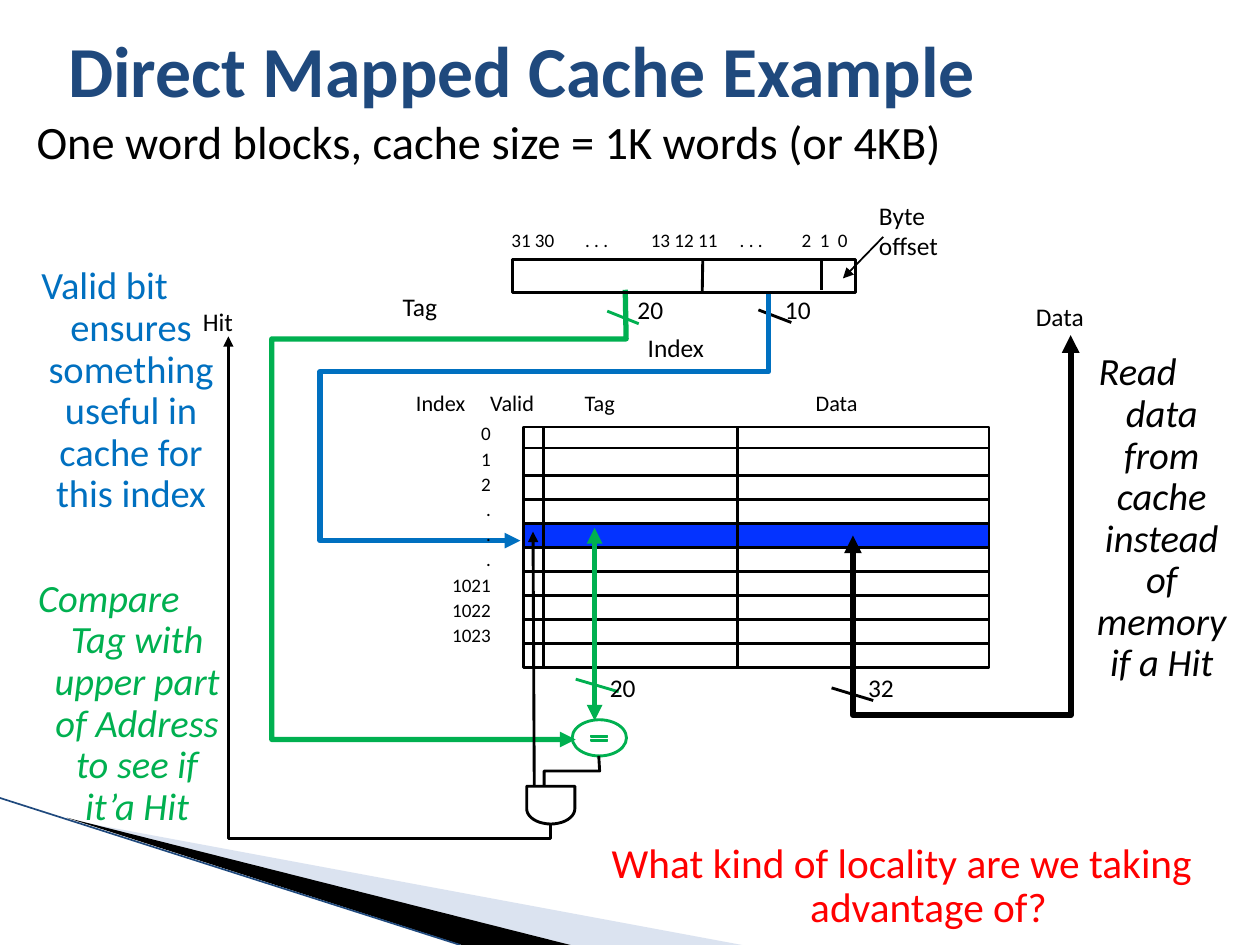
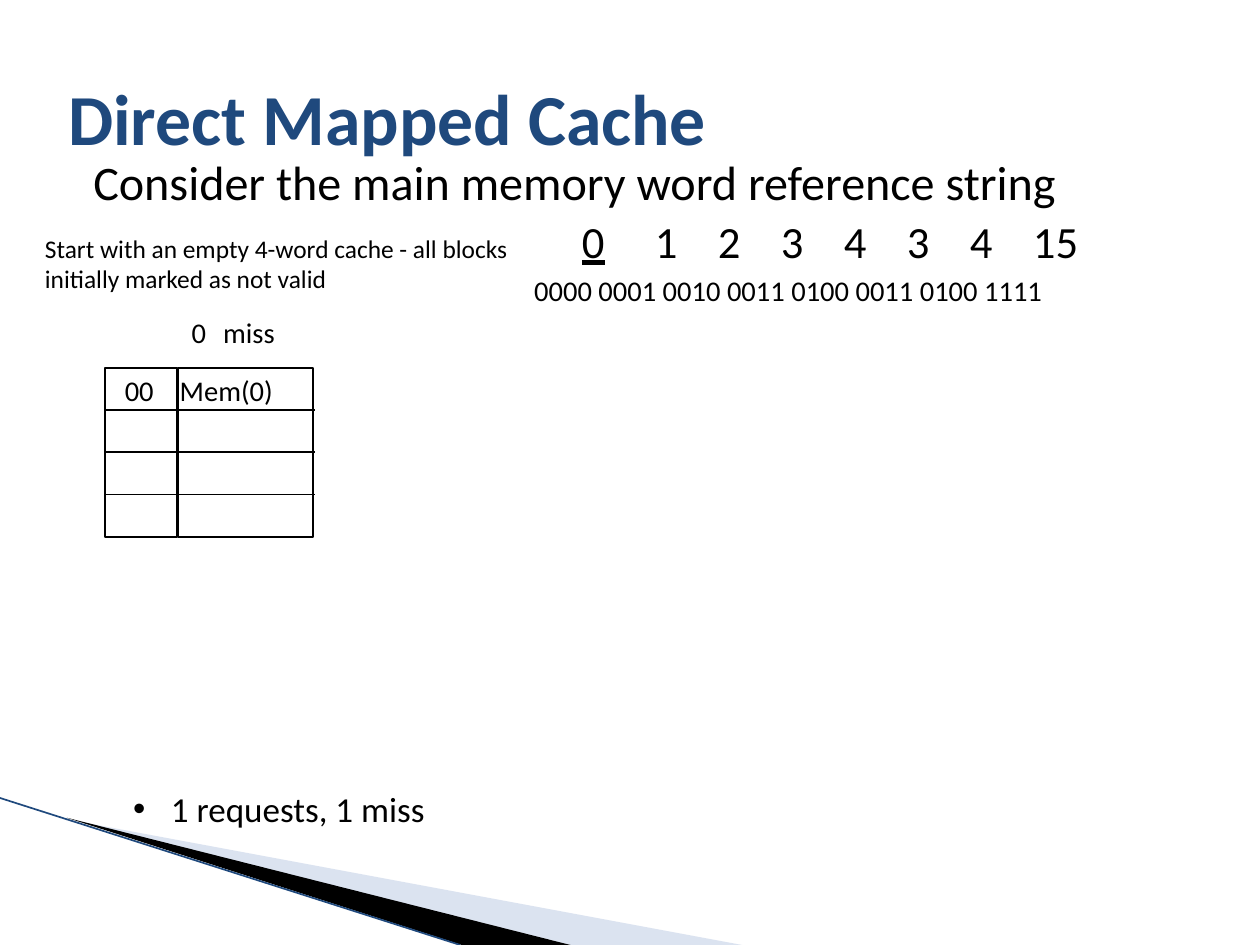
import math

import pptx
import pptx.dml.color
import pptx.enum.shapes
import pptx.enum.text
import pptx.oxml.xmlchemy
import pptx.util

Pt = pptx.util.Pt
RGBColor = pptx.dml.color.RGBColor
MSO_SHAPE = pptx.enum.shapes.MSO_SHAPE
PP_ALIGN = pptx.enum.text.PP_ALIGN
OxmlElement = pptx.oxml.xmlchemy.OxmlElement

FONT = "Calibri"
INSET = 2.88
THIN, THICK = 1.63, 3
BLACK = RGBColor(0x00, 0x00, 0x00)
NAVY = RGBColor(0x1F, 0x49, 0x7D)
GREEN = RGBColor(0x00, 0xB0, 0x50)
BLUE = RGBColor(0x00, 0x70, 0xC0)
RED = RGBColor(0xFF, 0x00, 0x00)
ROW_BLUE = RGBColor(0x04, 0x33, 0xFF)
BAND_LIGHT = RGBColor(0xA7, 0xB9, 0xDB)


def add_child(parent, tag, **attrs):
    child = OxmlElement(tag)
    for name, value in attrs.items():
        child.set(name, str(value))
    parent.append(child)
    return child


# Text

def box(s, x, y, w, h, wrap=True, grow=True, inset=INSET):
    sp = s.shapes.add_textbox(Pt(x), Pt(y), Pt(w), Pt(h))
    tf = sp.text_frame
    tf.word_wrap = wrap
    sizes = pptx.enum.text.MSO_AUTO_SIZE
    tf.auto_size = sizes.SHAPE_TO_FIT_TEXT if grow else sizes.NONE
    tf.margin_left = tf.margin_right = Pt(inset)
    tf.margin_top = tf.margin_bottom = Pt(inset)
    return tf


def run(p, text, size, color=BLACK, bold=False, italic=False, underline=False):
    r = p.add_run()
    r.text = text
    f = r.font
    f.name, f.size, f.bold, f.italic = FONT, Pt(size), bold, italic
    f.underline = underline
    f.color.rgb = color


def para(tf, text, size, align=None, spacing=None, before=None,
         left=0, hang=0, bullet=None, **style):
    p = tf.paragraphs[0]
    if p.runs:
        p = tf.add_paragraph()
    p.alignment = align
    p.line_spacing = spacing
    if before:
        p.space_before = Pt(before)
    pPr = p._p.get_or_add_pPr()
    pPr.set("marL", str(Pt(left)))
    pPr.set("indent", str(-Pt(hang)))
    if bullet:
        add_child(pPr, "a:buFont", typeface="Arial")
        add_child(pPr, "a:buChar", char=bullet)
    for i, part in enumerate(text.split("\n")):
        if i:
            p.add_line_break()
        run(p, part, size, **style)


def label(s, x, y, w, text, size=14.5, **style):
    height = size * 1.22 + 2 * INSET
    para(box(s, x, y, w + 4, height, wrap=False), text, size, **style)


def callout(s, x, y, w, h, text, size, hang, before, **style):
    para(box(s, x, y, w, h), text, size, align=PP_ALIGN.CENTER, spacing=0.9,
         before=before, left=hang, hang=hang, **style)


def title(s, y, text):
    tf = box(s, 36, y, 648, 90, grow=False)
    tf.vertical_anchor = pptx.enum.text.MSO_ANCHOR.MIDDLE
    para(tf, text, 41, color=NAVY, bold=True)


# Shapes and lines

def paint(sp, fill=None, color=None, width=THIN, head=False, tail=False):
    sp.shadow.inherit = False
    if fill is None:
        sp.fill.background()
    else:
        sp.fill.solid()
        sp.fill.fore_color.rgb = fill
    if color is None:
        sp.line.fill.background()
    else:
        stroke(sp, color, width, head, tail)
    return sp


def stroke(sp, color, width, head, tail):
    sp.line.color.rgb = color
    sp.line.width = Pt(width)
    ln = sp.line._get_or_add_ln()
    if head:
        add_child(ln, "a:headEnd", type="triangle")
    if tail:
        add_child(ln, "a:tailEnd", type="triangle")


def preset(s, kind, x, y, w, h, **look):
    return paint(s.shapes.add_shape(kind, Pt(x), Pt(y), Pt(w), Pt(h)), **look)


def line(s, x1, y1, x2, y2, color=BLACK, width=THIN, head=False, tail=False):
    c = s.shapes.add_connector(pptx.enum.shapes.MSO_CONNECTOR.STRAIGHT,
                               Pt(x1), Pt(y1), Pt(x2), Pt(y2))
    stroke(c, color, width, head, tail)
    add_child(c._element.spPr, "a:effectLst")
    return c


def outline(s, *contours, close=False, **look):
    start, *rest = [[(Pt(x), Pt(y)) for x, y in points] for points in contours]
    fb = s.shapes.build_freeform(*start[0])
    fb.add_line_segments(start[1:], close=close)
    for points in rest:
        fb.move_to(*points[0])
        fb.add_line_segments(points[1:], close=close)
    return paint(fb.convert_to_shape(), **look)


def corner_bands(s):
    light = outline(s, [(39.6, 468.5), (424, 540), (326, 540)], close=True, fill=BAND_LIGHT)
    color = light.fill._xPr.solidFill[0]
    add_child(color, "a:alpha", val=40000)
    outline(s, [(38.2, 467.3), (326, 540), (264, 540)], close=True, fill=BLACK)
    line(s, 0, 456, 263, 540, NAVY, 0.95)


# Slide 1

def address_word(s):
    preset(s, MSO_SHAPE.RECTANGLE, 293, 148.3, 195.8, 18.7, color=BLACK)
    line(s, 401.3, 167, 401.6, 148.3)
    line(s, 469.4, 165.6, 469.4, 147.6)
    for x, w, bits in ((289.3, 31, "31 30"), (331.4, 20, ". . ."), (369, 45, "13 12 11"),
                       (419.8, 20, ". . ."), (455.2, 11.3, "2"), (465.6, 11.3, "1"),
                       (475.9, 11.3, "0")):
        label(s, x, 127.9, w, bits, 10.9)
    para(box(s, 499.4, 111.3, 67, 41), "Byte offset", 14.5)
    line(s, 504.7, 135.4, 481.7, 159.1, width=1, tail=True)


def cache_array(s):
    left, right, top, height = 299.2, 565.2, 244, 137.5
    first, step = 271.5, 13.75
    table = preset(s, MSO_SHAPE.RECTANGLE, left, top, right - left, height, color=BLACK)
    preset(s, MSO_SHAPE.RECTANGLE, left, first + 2 * step, right - left, step,
           fill=ROW_BLUE, color=BLACK)
    for y in [256] + [first + i * step for i in range(8) if i != 2]:
        row = line(s, right, y, left, y)
        if y == top + height / 2:
            row.begin_connect(table, 3)
            row.end_connect(table, 1)
    for x in (310.7, 421.2):
        line(s, x, top, x, top + height)

    for x, w, text in ((234.8, 34, "Index"), (277.2, 31, "Valid"),
                       (331.2, 23, "Tag"), (463.2, 29.5, "Data")):
        label(s, x, 219.4, w, text, 12.7)
    tf = box(s, 252, 236.9, 31.4, 136)
    for text in ("0", "1", "2", ".", ".", ".", "1021", "1022", "1023"):
        para(tf, text, 10.9, align=PP_ALIGN.RIGHT, spacing=1.1)


def tag_path(s):
    preset(s, MSO_SHAPE.OVAL, 327, 411.3, 31, 20.7, color=GREEN)
    bars = [[(337.7, y), (347, y), (347, y + 0.8), (337.7, y + 0.8)] for y in (420.4, 422.6)]
    outline(s, *bars, close=True, fill=BLACK, color=GREEN, width=0.75)
    label(s, 361.4, 165.4, 20.2, "20")
    line(s, 347, 177.8, 365, 185, GREEN)
    outline(s, [(357.3, 165.6), (357.8, 193.7), (155.3, 193.7), (155.3, 422.6), (329, 422.6)],
            color=GREEN, width=THICK, tail=True)
    label(s, 227.2, 163.2, 25.2, "Tag")


def index_path(s):
    line(s, 433.4, 177.1, 452.2, 184.3)
    outline(s, [(439.2, 166.3), (439.2, 212.4), (182.9, 212.4), (182.9, 308.9), (297.4, 308.9)],
            color=BLUE, width=THICK, tail=True)
    label(s, 445.7, 165.4, 20.2, "10")
    label(s, 367.2, 186.9, 38.2, "Index")


def compare_and_read(s):
    line(s, 329, 388.1, 353.5, 395.3, GREEN)
    line(s, 339.8, 301.7, 339.8, 411.8, GREEN, THICK, head=True, tail=True)
    label(s, 345.6, 381.4, 20.2, "20")
    outline(s, [(487.4, 306), (487.4, 408.7), (611.8, 408.7), (611.8, 191.5)],
            color=BLACK, width=3.38, head=True, tail=True)
    line(s, 475.2, 393.1, 499, 400.3)
    label(s, 589, 169, 33, "Data")
    label(s, 493.2, 380.9, 20.2, "32")


def hit_logic(s):
    # AND gate: flat top, half-ellipse below
    left, right, top, shoulder, depth = 301, 328.5, 449.3, 462.2, 8.7
    mid, radius = (left + right) / 2, (right - left) / 2
    bowl = [(mid + radius * math.cos(a), shoulder + depth * math.sin(a))
            for a in (math.pi * i / 20 for i in range(21))]
    outline(s, [(left, top), (right, top)] + bowl, close=True, color=BLACK)
    line(s, 304.6, 303.8, 305.3, top, head=True)
    outline(s, [(342.2, 432), (342.7, 440.6), (311, 440.6), (311, top)], color=BLACK)
    outline(s, [(mid, 470.9), (mid, 479.2), (130.5, 479.2), (130.5, 192.2)],
            color=BLACK, tail=True)
    label(s, 113, 171.8, 23, "Hit")


def example_slide(s):
    corner_bands(s)
    para(box(s, 18, 72, 698.4, 48.2, grow=False),
         "One word blocks, cache size = 1K words (or 4KB)", 26.5, spacing=0.64, before=6.3)
    title(s, -5.8, "Direct Mapped Cache Example")
    tag_path(s)
    index_path(s)
    cache_array(s)
    address_word(s)
    compare_and_read(s)
    hit_logic(s)
    callout(s, 314.6, 478.5, 401.8, 56.9, "What kind of locality are we taking advantage of?",
            23.6, 30.2, 20, color=RED)
    callout(s, -9.7, 149.5, 139, 149.8,
            "Valid bit ensures something useful in cache for this index",
            22, 30.2, 20, color=BLUE)
    callout(s, 0.5, 328, 128.2, 149.8,
            "Compare \nTag with upper part of Address to see if it’a Hit",
            22, 27.4, 18.1, color=GREEN, italic=True)
    callout(s, 591.1, 198.7, 118, 197.3,
            "Read\ndata from cache instead of memory if a Hit",
            22, 27.4, 18.1, italic=True)


# Slide 2

def block_column(s, x, w, line_w):
    top, height, rows = 210.25, 96.5, 4
    column = preset(s, MSO_SHAPE.RECTANGLE, x, top, w, height, color=BLACK, width=1)
    for i in range(1, rows):
        y = top + i * height / rows
        c = line(s, x, y, x + line_w, y, width=1)
        if 2 * i == rows:
            c.begin_connect(column, 1)
            if line_w == w:
                c.end_connect(column, 3)


def reference_string(s):
    first, second, gap = 329.7, 371.4, 36
    for i, word in enumerate(("0", "1", "2", "3", "4", "3", "4", "15")):
        x = second + (i - 1) * gap if i else first
        label(s, x, 119.1, 18.8 * len(word), word, 25.5, underline=i == 0)


def reference_slide(s):
    corner_bands(s)
    title(s, 21.6, "Direct Mapped Cache")
    block_column(s, 101.6, 77.2, 78.5)
    block_column(s, 60, 41, 41)
    label(s, 106.6, 177.1, 13.7, "0", 16.3)
    label(s, 124.6, 177.1, 35.3, "miss", 16.3)
    label(s, 68.4, 210, 22.5, "00", 16.3)
    label(s, 99.8, 210, 59, "Mem(0)", 16.3)
    para(box(s, 41.8, 90.7, 673.2, 64.1, grow=False),
         "Consider the main memory word reference string", 27.5,
         spacing=0.8, before=7.3, left=8.6)
    reference_string(s)
    para(box(s, 22.8, 130.3, 270.7, 41),
         "Start with an empty 4-word cache - all blocks initially marked as not valid", 14.5)
    para(box(s, 38.6, 447.5, 642.2, 28.1, inset=2.2), "1 requests, 1 miss", 20,
         before=6.3, left=56.9, hang=21.6, bullet="•")
    label(s, 302.4, 153.2, 298.8, "0000 0001 0010 0011 0100 0011 0100 1111", 16.3)


def main():
    prs = pptx.Presentation()
    prs.slide_width, prs.slide_height = Pt(720), Pt(540)
    for build in (example_slide, reference_slide):
        build(prs.slides.add_slide(prs.slide_layouts[6]))
    prs.save("out.pptx")


if __name__ == "__main__":
    main()
